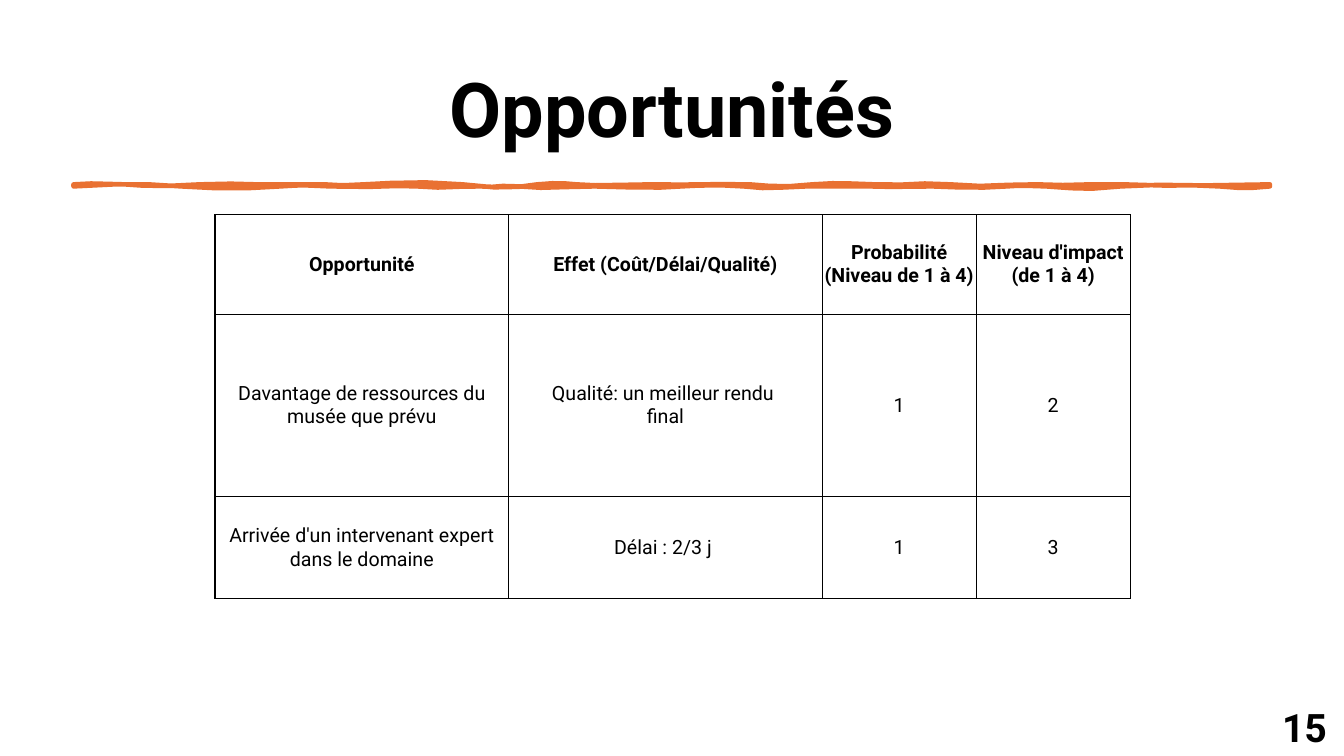
from lxml.etree import SubElement as Sub
from pptx import Presentation
from pptx.dml.color import RGBColor
from pptx.enum.shapes import MSO_SHAPE as Kind
from pptx.enum.text import MSO_ANCHOR as Anchor, PP_ALIGN as Align
from pptx.oxml.ns import qn
from pptx.util import Cm, Pt

BLACK = RGBColor(0x00, 0x00, 0x00)
WHITE = RGBColor(0xFF, 0xFF, 0xFF)
ORANGE = RGBColor(0xE9, 0x71, 0x32)
FONT = "Roboto"
INCH = 2.54
WIDTH, HEIGHT = 33.87, 19.05

COLS = [7.4, 7.9, 3.88, 3.88]
ROWS = [2.51, 4.6, 2.57]
CELLS = [
    ["Opportunité", "Effet (Coût/Délai/Qualité)",
     "Probabilité\n(Niveau de 1 à 4)", "Niveau d'impact (de 1 à 4)"],
    ["Davantage de ressources du musée que prévu",
     "Qualité: un meilleur rendu \nfinal", "1", "2"],
    ["Arrivée d'un intervenant expert dans le domaine",
     "Délai : 2/3 j ", "1", "3"],
]

UPPER = [
    (0.89, 1.81, 1.11, 1.83, 1.24), (1.36, 1.84, 1.62, 1.86, 1.98),
    (2.34, 1.81, 2.51, 1.84, 2.84), (3.17, 1.83, 3.07, 1.83, 3.22),
    (3.38, 1.84, 3.42, 1.84, 3.61), (3.8, 1.82, 4.24, 1.79, 4.59),
    (4.94, 1.88, 5.17, 1.86, 5.33), (5.49, 1.81, 5.63, 1.82, 5.72),
    (5.81, 1.85, 6.25, 1.83, 6.46), (6.67, 1.84, 7.23, 1.82, 7.44),
    (7.65, 1.85, 7.82, 1.86, 8.06), (8.3, 1.81, 8.38, 1.82, 8.68),
    (8.99, 1.85, 9.14, 1.8, 9.43), (9.72, 1.87, 10.02, 1.82, 10.29),
    (10.55, 1.85, 10.78, 1.82, 11.15), (11.51, 1.85, 11.99, 1.84, 12.6),
]
LOWER = [
    (12.42, 1.87, 12.3, 1.87, 12.1), (11.9, 1.84, 11.49, 1.82, 11.12),
    (10.75, 1.89, 10.7, 1.87, 10.38), (10.05, 1.84, 10.18, 1.84, 9.99),
    (9.8, 1.87, 9.48, 1.86, 9.25), (9.02, 1.85, 8.84, 1.86, 8.63),
    (8.41, 1.85, 8.28, 1.85, 8), (7.73, 1.86, 7.57, 1.88, 7.38),
    (7.19, 1.83, 6.88, 1.84, 6.76), (6.63, 1.87, 6.24, 1.86, 5.9),
    (5.55, 1.85, 5.37, 1.88, 5.15), (4.94, 1.83, 4.91, 1.87, 4.77),
    (4.63, 1.84, 4.3, 1.88, 4.14), (3.99, 1.83, 3.71, 1.87, 3.28),
    (2.86, 1.83, 3.03, 1.84, 2.78), (2.53, 1.87, 2.13, 1.88, 1.8),
    (1.47, 1.82, 1.18, 1.82, 0.73),
]


def write(frame, text, size=14, bold=False, align=Align.CENTER, space=None):
    frame.word_wrap = True
    for num, line in enumerate(text.split("\n")):
        para = frame.add_paragraph() if num else frame.paragraphs[0]
        para.alignment = align
        if space:
            para.line_spacing = space
        run = para.add_run()
        run.text = line
        font = run.font
        font.name, font.size, font.bold = FONT, Pt(size), bold
        font.color.rgb = BLACK


def add_text(slide, text, left, top, width, height, anchor=Anchor.TOP, **form):
    box = slide.shapes.add_textbox(Cm(left), Cm(top), Cm(width), Cm(height))
    box.text_frame.vertical_anchor = anchor
    write(box.text_frame, text, **form)


def paint(shape, color):
    shape.shadow.inherit = False
    shape.fill.solid()
    shape.fill.fore_color.rgb = color


def add_panel(slide):
    panel = slide.shapes.add_shape(Kind.RECTANGLE, 0, 0, Cm(WIDTH), Cm(HEIGHT))
    paint(panel, WHITE)
    panel.line.fill.background()


def trace(start, level, curves, steps=3):
    points = [(start, level)]
    for ax, ay, bx, by, end in curves:
        for step in range(1, steps + 1):
            t = step / steps
            u = 1 - t
            a, b, c, d = u ** 3, 3 * u * u * t, 3 * u * t * t, t ** 3
            points.append((a * start + b * ax + c * bx + d * end,
                           (a + d) * level + b * ay + c * by))
        start = end
    return [(Cm(x * INCH), Cm(y * INCH)) for x, y in points]


def add_wave(slide):
    points = trace(0.73, 1.83, UPPER) + trace(12.6, 1.85, LOWER)
    path = slide.shapes.build_freeform(*points[0])
    path.add_line_segments(points[1:], close=True)
    wave = path.convert_to_shape()
    paint(wave, ORANGE)
    wave.line.color.rgb = ORANGE
    wave.line.width = Pt(3.25)


def frame_cell(cell):
    props = cell._tc.get_or_add_tcPr()
    for side in ("lnL", "lnR", "lnT", "lnB"):
        line = Sub(props, qn("a:" + side), w=str(Pt(1)))
        fill = Sub(line, qn("a:solidFill"))
        Sub(fill, qn("a:srgbClr"), val=str(BLACK))
    cell.fill.background()


def add_grid(slide, left, top):
    grid = slide.shapes.add_table(len(ROWS), len(COLS), Cm(left), Cm(top),
                                  Cm(sum(COLS)), Cm(sum(ROWS))).table
    grid.first_row = grid.horz_banding = False
    for col, width in zip(grid.columns, COLS):
        col.width = Cm(width)
    for row, height in zip(grid.rows, ROWS):
        row.height = Cm(height)
    for r, texts in enumerate(CELLS):
        for c, text in enumerate(texts):
            cell = grid.cell(r, c)
            cell.margin_left = cell.margin_right = Cm(0)
            cell.margin_top = cell.margin_bottom = Cm(0)
            cell.vertical_anchor = Anchor.MIDDLE
            frame_cell(cell)
            write(cell.text_frame, text, bold=r == 0)


def main():
    deck = Presentation()
    deck.slide_width, deck.slide_height = Cm(WIDTH), Cm(HEIGHT)
    slide = deck.slides.add_slide(deck.slide_layouts[6])
    add_panel(slide)
    add_text(slide, "Opportunités", 2.33, 1.01, 29.21, 3.68,
             anchor=Anchor.MIDDLE, size=54, bold=True, space=0.9)
    add_wave(slide)
    add_grid(slide, 5.42, 5.41)
    add_text(slide, "15", 32.06, 17.6, 1.81, 1.45,
             size=28, bold=True, align=Align.LEFT)
    deck.save("out.pptx")


if __name__ == "__main__":
    main()
